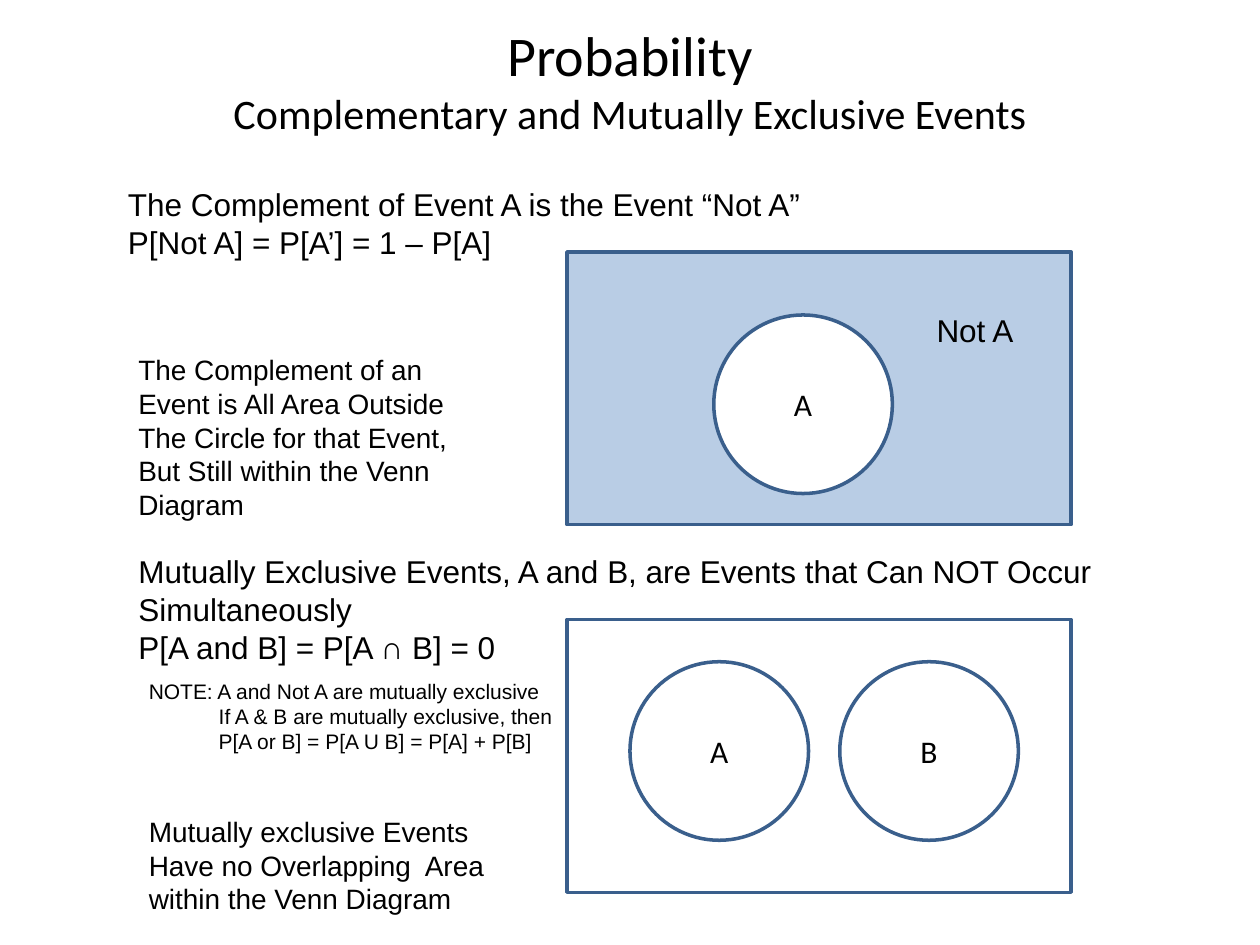
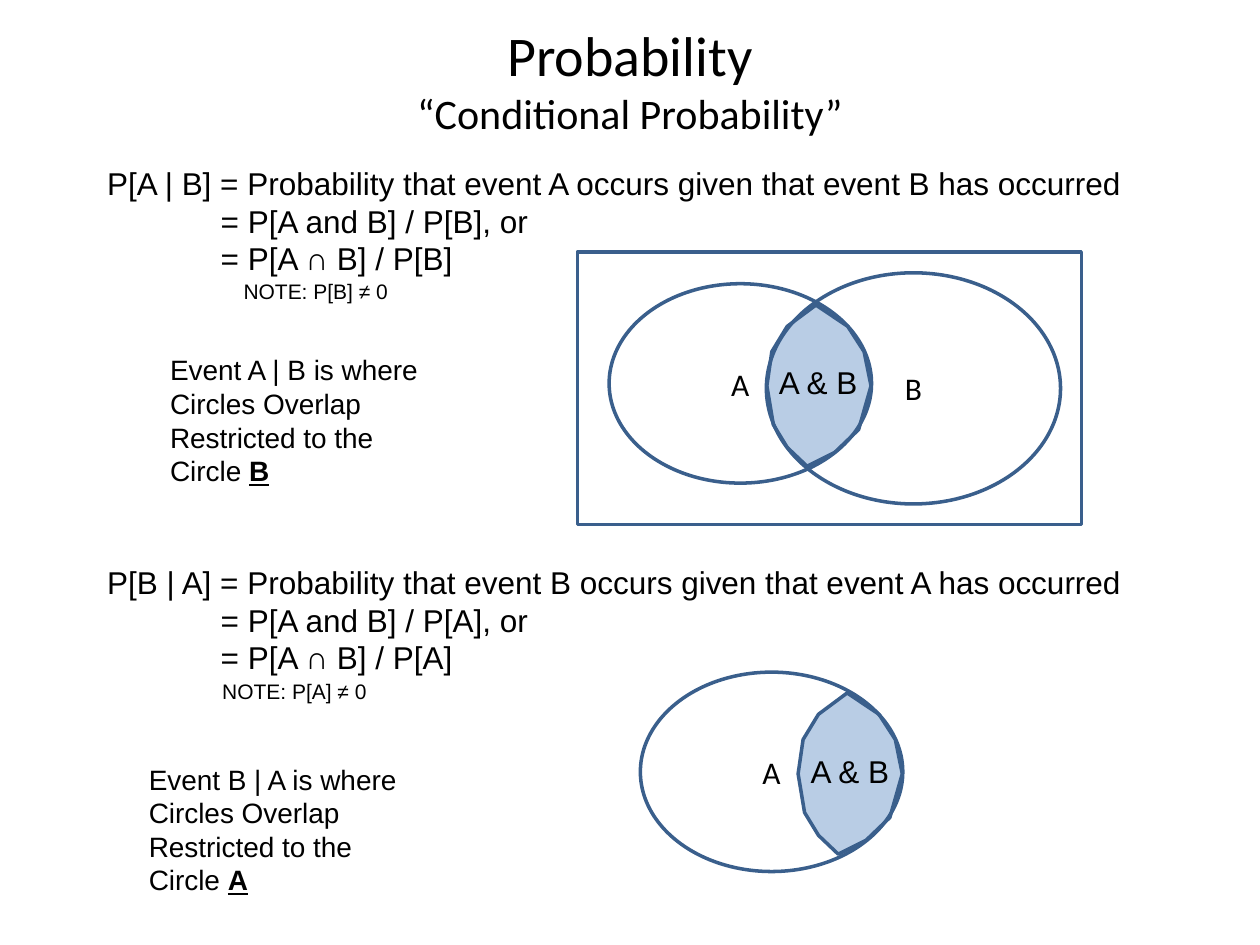
from lxml.etree import SubElement
from pptx import Presentation
from pptx.dml.color import RGBColor
from pptx.enum.shapes import MSO_SHAPE as Shape
from pptx.enum.text import MSO_ANCHOR as Anchor, PP_ALIGN as Align
from pptx.oxml.ns import qn
from pptx.util import Cm, Pt

COLORS = {"ink": "000000", "line": "3A5F8C", "tint": "B9CDE5", "paper": "FFFFFF"}
HEAD, BODY = "Calibri", "Arial"
FRAME = (10.16, 5.5)
ROUND = (3.6, 3.6)
OVAL_A, OVAL_B = (5.29, 4.02), (5.93, 4.66)
LENS = [(0.99, 0), (0.41, 0.43), (0.1, 0.94), (0, 1.63), (0.13, 2.41), (0.41, 2.87),
        (0.81, 3.25), (1.37, 2.97), (1.85, 2.51), (2.1, 1.63), (1.96, 0.94), (1.63, 0.43)]


def rule(one, two):
    """Definition of P[one | two]."""
    return [f"P[{one} | {two}] = Probability that event {one} occurs "
            f"given that event {two} has occurred",
            f"= P[A and B] / P[{two}], or", f"= P[A ∩ B] / P[{two}]"]


def hint(one, two):
    return [f"Event {one} | {two} is where", "Circles Overlap", "Restricted to the", "Circle "]


# lens: left, top
# shape: kind, left, top, (width, height), fill, label
# text: left, top, width, points, lines, then options
SLIDES = [
    {
        "title": "Complementary and Mutually Exclusive Events",
        "lenses": [],
        "shapes": [
            ("RECTANGLE", 11.43, 5.08, FRAME, "tint", ""),
            ("OVAL", 14.39, 6.35, ROUND, "paper", "A"),
            ("RECTANGLE", 11.43, 12.49, FRAME, "paper", ""),
            ("OVAL", 12.7, 13.34, ROUND, "paper", "A"),
            ("OVAL", 16.93, 13.34, ROUND, "paper", "B"),
        ],
        "texts": [
            (2.33, 3.6, 14.2, 18, ["The Complement of Event A is the Event “Not A”",
                                   "P[Not A] = P[A’] = 1 – P[A]"], {}),
            (18.63, 6.14, 2.08, 18, ["Not A"], {}),
            (2.54, 11.01, 19.91, 18,
             ["Mutually Exclusive Events, A and B, are Events that Can NOT Occur",
              "Simultaneously", "P[A and B] = P[A ∩ B] = 0"], {}),
            (2.54, 6.99, 6.83, 16,
             ["The Complement of an", "Event is All Area Outside", "The Circle for that Event,",
              "But Still within the Venn", "Diagram"], {}),
            (2.75, 16.3, 7.52, 16, ["Mutually exclusive Events", "Have no Overlapping  Area",
                                    "within the Venn Diagram"], {}),
            (2.75, 13.55, 8.74, 12, ["NOTE: A and Not A are mutually exclusive",
                                     "If A & B are mutually exclusive, then",
                                     "P[A or B] = P[A U B] = P[A] + P[B]"], {"indent": 1.41}),
        ],
    },
    {
        "title": "“Conditional Probability”",
        "lenses": [(15.46, 6.15), (16.09, 13.97)],
        "shapes": [
            ("RECTANGLE", 11.64, 5.08, FRAME, None, ""),
            ("OVAL", 12.28, 5.72, OVAL_A, None, "A"),
            ("OVAL", 15.45, 5.5, OVAL_B, None, "B"),
            ("OVAL", 12.91, 13.55, OVAL_A, None, "A"),
        ],
        "texts": [
            (1.91, 3.18, 21.82, 18, rule("A", "B"), {"indent": 2.29}),
            (4.66, 5.5, 3.45, 12, ["NOTE: P[B] ≠ 0"], {}),
            (3.18, 6.99, 5.56, 16, hint("A", "B"), {"key": "B"}),
            (15.45, 7.2, 2.11, 18, ["A & B"], {}),
            (1.91, 11.22, 21.82, 18, rule("B", "A"), {"indent": 2.29}),
            (4.23, 13.55, 3.45, 12, ["NOTE: P[A] ≠ 0"], {}),
            (2.75, 15.24, 5.56, 16, hint("B", "A"), {"key": "A"}),
            (16.09, 15.03, 2.11, 18, ["A & B"], {}),
        ],
    },
]


def rgb(name):
    return RGBColor.from_string(COLORS[name])


def style(run, size, face):
    font = run.font
    font.size, font.name = Pt(size), face
    font.color.rgb = rgb("ink")


def paint(shape, fill):
    shape.shadow.inherit = False
    if fill:
        shape.fill.solid()
        shape.fill.fore_color.rgb = rgb(fill)
    else:
        shape.fill.background()
    shape.line.color.rgb = rgb("line")
    shape.line.width = Pt(2)


def add_title(slide, topic):
    title = slide.shapes.title
    title.left, title.top, title.width, title.height = Cm(1.27), Cm(0), Cm(22.86), Cm(3.18)
    frame = title.text_frame
    frame.vertical_anchor = Anchor.MIDDLE
    frame.text = "Probability\v" + topic
    frame.paragraphs[0].alignment = Align.CENTER
    for run, size in zip(frame.paragraphs[0].runs, (32, 24)):
        style(run, size, HEAD)


def add_lens(slide, left, top):
    """Draw the overlap of two ovals."""
    spots = [(Cm(left + x), Cm(top + y)) for x, y in LENS]
    pen = slide.shapes.build_freeform(*spots[0])
    pen.add_line_segments(spots[1:], close=True)
    paint(pen.convert_to_shape(), "tint")


def add_part(slide, kind, left, top, size, fill, label):
    """Draw a frame or an event oval of a Venn diagram."""
    part = slide.shapes.add_shape(Shape[kind], Cm(left), Cm(top), *map(Cm, size))
    paint(part, fill)
    if label:
        frame = part.text_frame
        frame.text = label
        frame.vertical_anchor = Anchor.MIDDLE
        frame.paragraphs[0].alignment = Align.CENTER
        style(frame.paragraphs[0].runs[0], 18, HEAD)


def add_text(slide, left, top, width, size, lines, indent=0, key=""):
    """Write lines; indent moves all but the first, key ends the last in bold."""
    high = Pt(1.2 * size * len(lines) + 7.2)
    frame = slide.shapes.add_textbox(Cm(left), Cm(top), Cm(width), high).text_frame
    frame.word_wrap = False
    frame.text = "\n".join(lines)
    paras = frame.paragraphs
    if key:
        mark = paras[-1].add_run()
        mark.text = key
        mark.font.bold = mark.font.underline = True
    for i, para in enumerate(paras):
        if indent and i:
            para._p.get_or_add_pPr().set("marL", str(Cm(indent)))
        for run in para.runs:
            style(run, size, BODY)


def main():
    deck = Presentation()
    deck.slide_width, deck.slide_height = Cm(25.4), Cm(19.05)
    for page in SLIDES:
        slide = deck.slides.add_slide(deck.slide_layouts[5])
        add_title(slide, page["title"])
        for spot in page["lenses"]:
            add_lens(slide, *spot)
        for part in page["shapes"]:
            add_part(slide, *part)
        for *text, more in page["texts"]:
            add_text(slide, *text, **more)
    deck.save("out.pptx")


if __name__ == "__main__":
    main()
